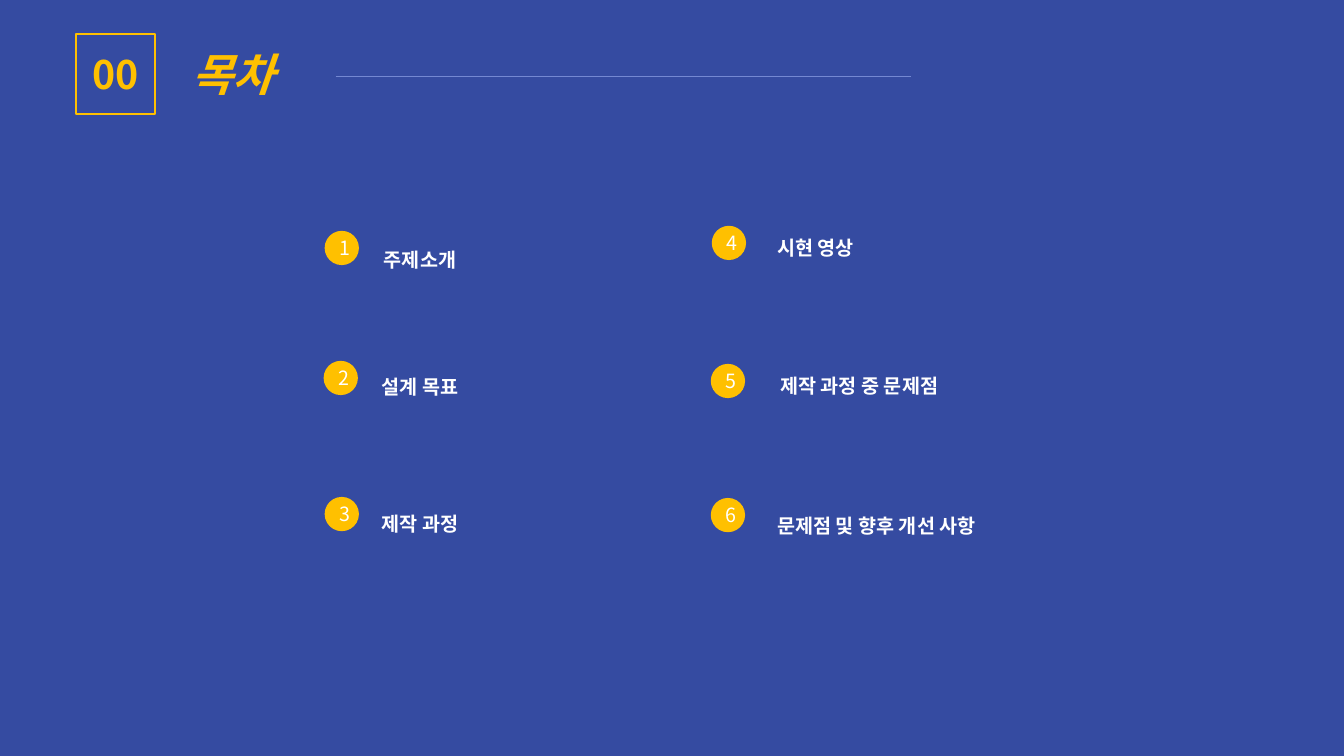
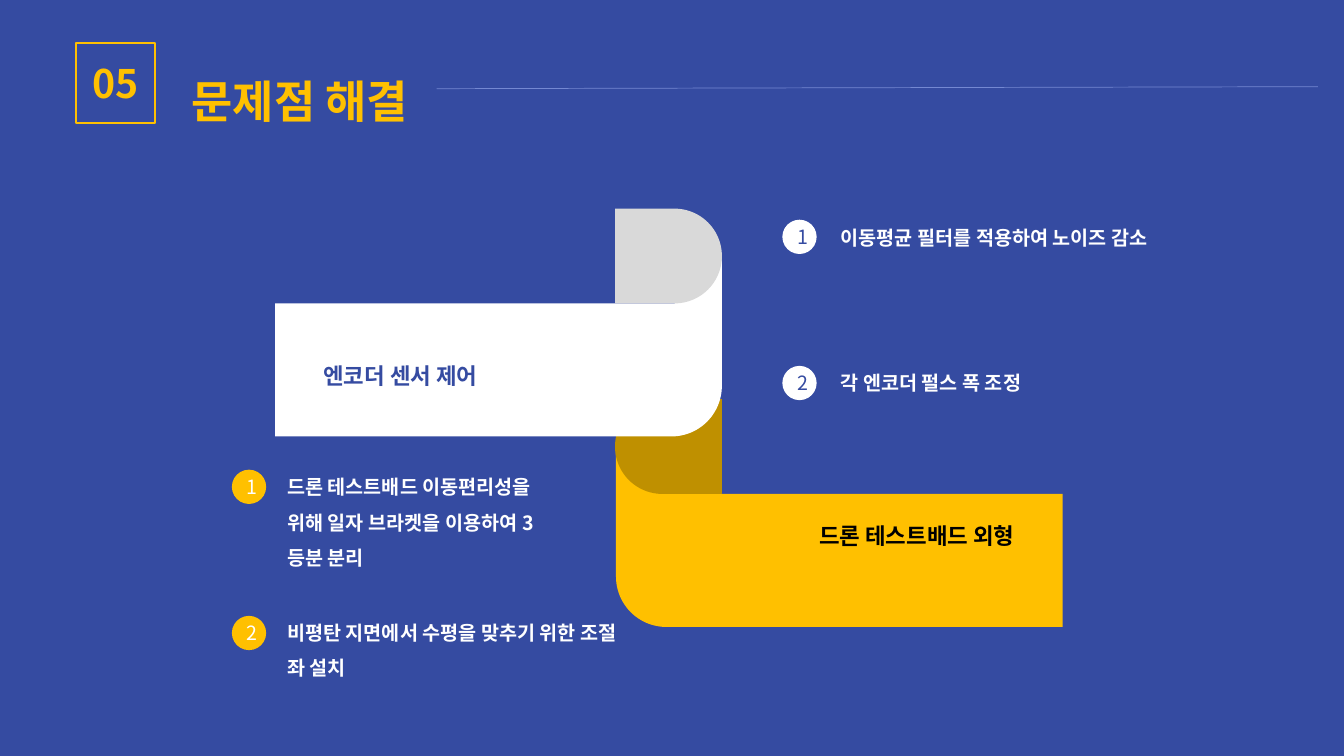
"""Build a contents slide and a problem-solving slide in one blue and amber style."""
from math import cos, radians, sin

from lxml.etree import SubElement
from pptx import Presentation
from pptx.dml.color import RGBColor
from pptx.enum.shapes import MSO_CONNECTOR, MSO_SHAPE
from pptx.enum.text import MSO_ANCHOR, MSO_AUTO_SIZE, PP_ALIGN
from pptx.oxml.ns import qn
from pptx.util import Inches, Pt

FONT = "Noto Sans CJK KR"
COLORS = {
    "blue": "354BA1", "amber": "FFC000", "dark_amber": "BF9000", "rule": "7488D2",
    "white": "FFFFFF", "grey": "D9D9D9", "black": "000000",
}
DOT = 0.34
RADIUS = 0.5
BAND_LEFT, BAND_RIGHT = 2.73, 7.16
FOLD_LEFT = 6.11
BAND_STEP = 1.89

SLIDES = [
    {
        "number": "00", "badge_top": 0.34, "title": "목차", "italic": True, "spacing": 1.0,
        "rule": (3.33, 0.76, 9.04, 0.76),
        "bands": [],
        "labels": [],
        "items": [
            ("1", (3.22, 2.29), "amber", "white", (3.71, 2.29, 2.4), "주제소개"),
            ("2", (3.21, 3.58), "amber", "white", (3.69, 3.55, 2.4), "설계 목표"),
            ("3", (3.22, 4.93), "amber", "white", (3.69, 4.91, 2.4), "제작 과정"),
            ("4", (7.06, 2.24), "amber", "white", (7.61, 2.17, 2.4), "시현 영상"),
            ("5", (7.05, 3.61), "amber", "white", (7.64, 3.54, 2.4), "제작 과정 중 문제점"),
            ("6", (7.05, 4.94), "amber", "white", (7.61, 4.93, 2.59), "문제점 및 향후 개선 사항"),
        ],
    },
    {
        "number": "05", "badge_top": 0.43, "title": "문제점 해결", "italic": False, "spacing": 1.5,
        "rule": (4.33, 0.88, 13.07, 0.86),
        "bands": [(1, "amber", "dark_amber"), (0, "white", "grey")],
        "labels": [
            ("엔코더 센서 제어", (3.11, 3.41, 4.05), "blue", PP_ALIGN.LEFT),
            ("드론 테스트배드 외형", (6.11, 5.0, 4.05), "black", PP_ALIGN.RIGHT),
        ],
        "items": [
            ("1", (2.3, 4.66), "amber", "white", (2.75, 4.55, 2.85),
             "드론 테스트배드 이동편리성을 위해 일자 브라켓을 이용하여 3등분 분리"),
            ("2", (2.3, 6.11), "amber", "white", (2.75, 5.99, 3.62),
             "비평탄 지면에서 수평을 맞추기 위한 조절 좌 설치"),
            ("1", (7.76, 2.18), "white", "blue", (8.24, 2.08, 3.64),
             "이동평균 필터를 적용하여 노이즈 감소"),
            ("2", (7.76, 3.63), "white", "blue", (8.24, 3.51, 2.6), "각 엔코더 펄스 폭 조정"),
        ],
    },
]


def rgb(name):
    return RGBColor.from_string(COLORS[name])


def write(sp, text, size, color, bold=True, italic=False, align=PP_ALIGN.LEFT, spacing=1.0):
    tf = sp.text_frame
    tf.word_wrap = True
    p = tf.paragraphs[0]
    p.text = text
    p.alignment = align
    p.line_spacing = spacing
    font = p.font
    font.size, font.bold, font.italic = Pt(size), bold, italic
    font.color.rgb = rgb(color)
    font.name = FONT
    SubElement(p._p.pPr.find(qn("a:defRPr")), qn("a:ea"), typeface=FONT)


def paint(sp, fill=None, line=None):
    sp.shadow.inherit = False
    if fill:
        sp.fill.solid()
        sp.fill.fore_color.rgb = rgb(fill)
    else:
        sp.fill.background()
    if line:
        sp.line.color.rgb = rgb(line)
        sp.line.width = Pt(1.5)
    else:
        sp.line.fill.background()


def add_shape(s, kind, box, fill=None, line=None):
    sp = s.shapes.add_shape(kind, *map(Inches, box))
    paint(sp, fill, line)
    return sp


def add_text(s, text, place, size, color, align=PP_ALIGN.LEFT):
    left, top, width = place
    sp = s.shapes.add_textbox(*map(Inches, (left, top, width, 0.45)))
    write(sp, text, size, color, align=align, spacing=1.5)


def add_header(s, slide):
    badge = add_shape(s, MSO_SHAPE.RECTANGLE, (0.75, slide["badge_top"], 0.79, 0.79), line="amber")
    write(badge, slide["number"], 28, "amber", align=PP_ALIGN.CENTER)
    title = s.shapes.title
    title.left, title.top, title.width, title.height = map(Inches, (1.8, 0.41, 5.35, 0.82))
    write(title, slide["title"], 32, "amber", italic=slide["italic"], spacing=slide["spacing"])
    title.text_frame.vertical_anchor = MSO_ANCHOR.TOP
    title.text_frame.auto_size = MSO_AUTO_SIZE.SHAPE_TO_FIT_TEXT
    rule = s.shapes.add_connector(MSO_CONNECTOR.STRAIGHT, *map(Inches, slide["rule"]))
    rule.line.color.rgb = rgb("rule")
    rule.line.width = Pt(0.5)
    SubElement(rule._element.spPr, qn("a:effectLst"))


def arc(center_y, start, end, steps=24):
    """Points on a quarter circle at the right end of a band."""
    angles = [radians(start + (end - start) * i / steps) for i in range(steps + 1)]
    return [(BAND_RIGHT - RADIUS + RADIUS * cos(a), center_y + RADIUS * sin(a)) for a in angles]


def add_band(s, row, fill, fold_fill):
    outline = arc(3.83, 0, 90) + [(BAND_LEFT, 4.33), (BAND_LEFT, 3.01)] + arc(2.51, 90, 0)
    if row:
        outline = [(FOLD_LEFT + BAND_RIGHT - x, y + BAND_STEP) for x, y in outline]
    points = [(Inches(x), Inches(y)) for x, y in outline]
    builder = s.shapes.build_freeform(*points[0])
    builder.add_line_segments(points[1:])
    paint(builder.convert_to_shape(), fill)
    fold = add_shape(s, MSO_SHAPE.ROUND_2_SAME_RECTANGLE,
                     (6.16, 2.01 + row * BAND_STEP, 0.94, 1.06), fold_fill)
    fold.adjustments[0], fold.adjustments[1] = 0.5, 0
    fold.rotation = 270 if row else 90


def add_item(s, number, spot, fill, color, place, text):
    dot = add_shape(s, MSO_SHAPE.OVAL, (*spot, DOT, DOT), fill)
    write(dot, number, 14, color, bold=False, align=PP_ALIGN.CENTER)
    add_text(s, text, place, 14, "white")


def main():
    prs = Presentation()
    prs.slide_width, prs.slide_height = Inches(13.33), Inches(7.5)
    background = prs.slide_master.background.fill
    background.solid()
    background.fore_color.rgb = rgb("blue")
    for slide in SLIDES:
        s = prs.slides.add_slide(prs.slide_layouts[5])
        add_header(s, slide)
        for band in slide["bands"]:
            add_band(s, *band)
        for text, place, color, align in slide["labels"]:
            add_text(s, text, place, 16, color, align)
        for item in slide["items"]:
            add_item(s, *item)
    prs.save("out.pptx")


if __name__ == "__main__":
    main()
